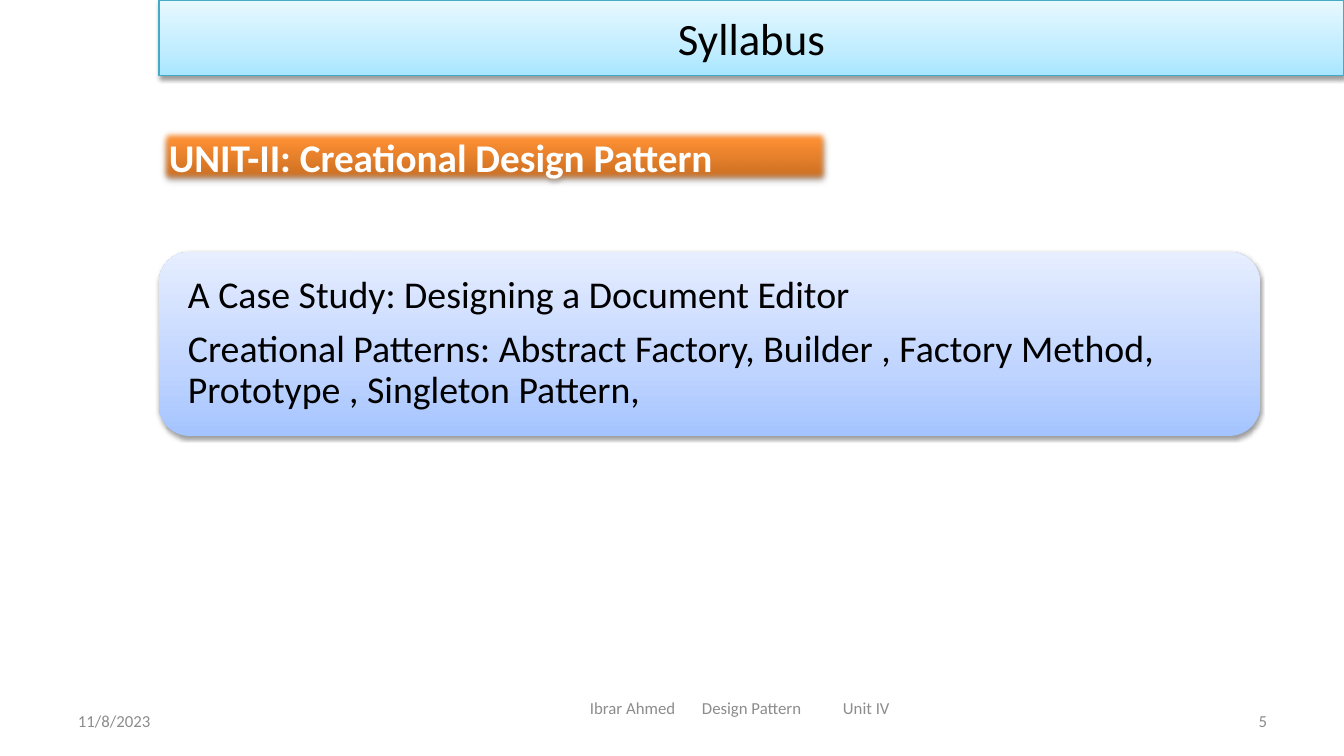
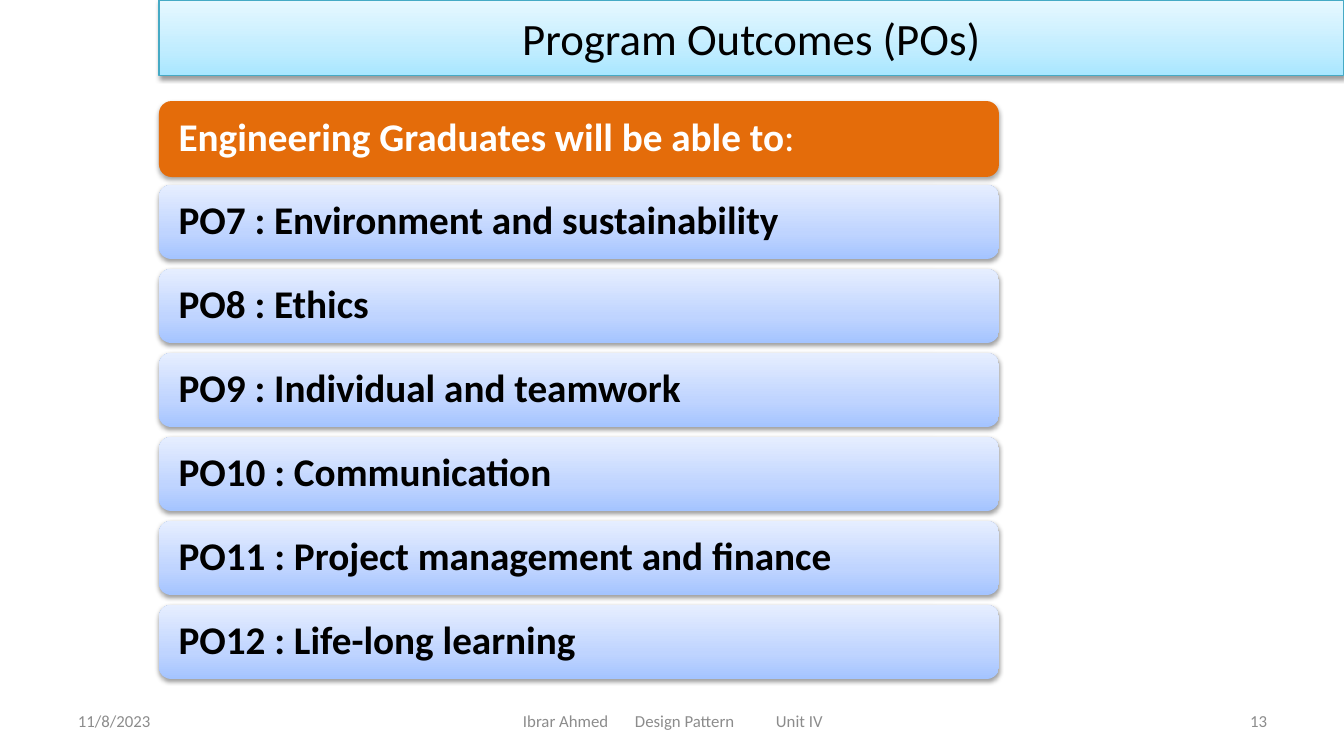
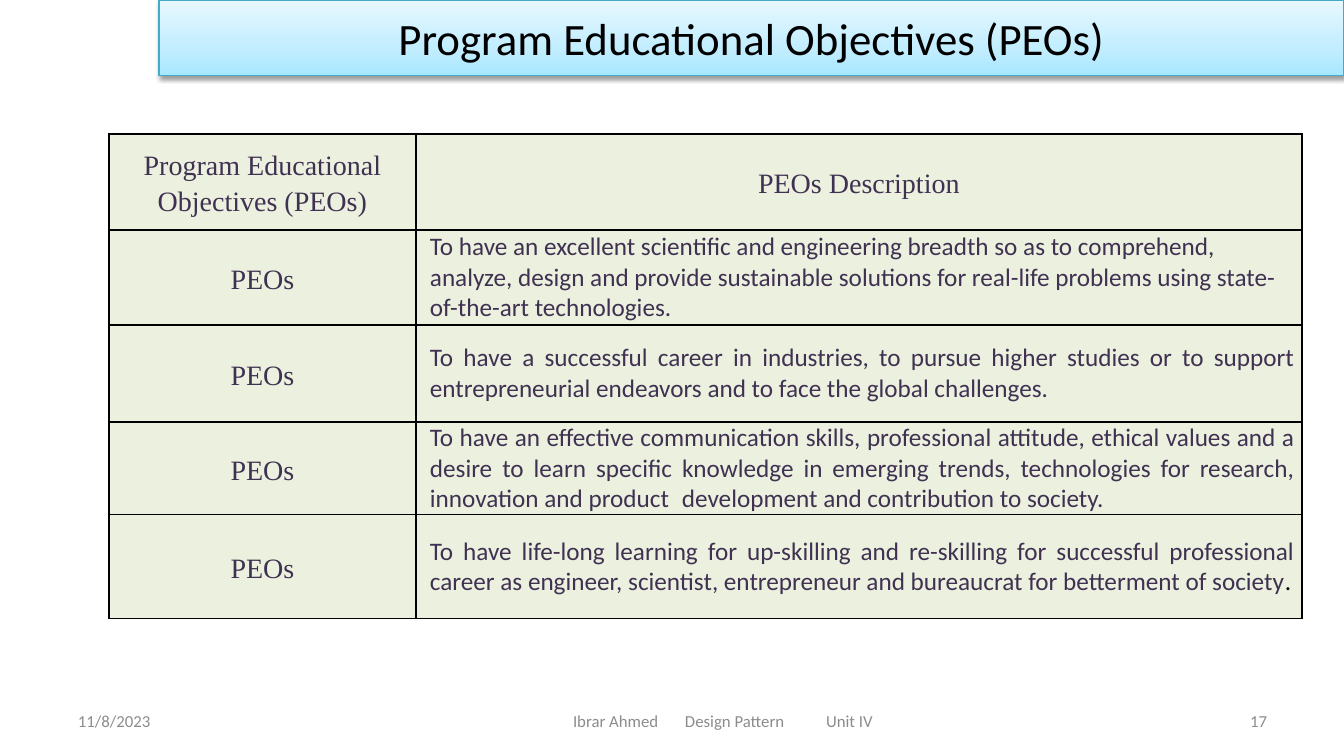
from lxml.etree import SubElement as Sub
from pptx import Presentation as Deck
from pptx.dml.color import RGBColor as Rgb
from pptx.enum.shapes import MSO_SHAPE as Kind
from pptx.enum.text import MSO_ANCHOR as Anchor, MSO_AUTO_SIZE as Auto, PP_ALIGN as Align
from pptx.oxml.ns import qn
from pptx.util import Pt

PX = 9071


class Theme:
    black, white, grey = "000000", "FFFFFF", "8C8C8C"
    edge, orange, plum, sage = "46AAC5", "E46C0A", "403152", "EBF1DE"
    sky = [(0, "A7E6FF"), (35, "C1EDFF"), (100, "E7F8FF")]
    blue = [(0, "A4C4FF"), (35, "BFD4FF"), (100, "E6EEFF")]
    amber = [(0, "C2691F"), (80, "FF9034"), (100, "FF9136")]
    sans, serif = "Calibri", "Times New Roman"
    title, head, body, label, cell, foot = 32, 28, 27, 20, 18, 12


def say(par, text, size, color, bold=False, face=Theme.sans):
    run = par.add_run()
    run.text = text
    run.font.name = face
    run.font.size = Pt(size)
    run.font.bold = bold
    run.font.color.rgb = Rgb.from_string(color)


def paint(shape, fill, alpha=38, drop=20000):
    if isinstance(fill, str):
        shape.fill.solid()
        shape.fill.fore_color.rgb = Rgb.from_string(fill)
    else:
        shape.fill.gradient()
        shape.fill.gradient_angle = 90
        stops = shape._element.spPr.find(qn("a:gradFill")).find(qn("a:gsLst"))
        stops.clear()
        for spot, color in fill:
            stop = Sub(stops, qn("a:gs"), pos=str(spot * 1000))
            Sub(stop, qn("a:srgbClr"), val=color)
    shape.line.fill.background()
    shape.shadow.inherit = False
    glow = shape._element.spPr.find(qn("a:effectLst"))
    shade = Sub(glow, qn("a:outerShdw"), blurRad="40000", dist=str(drop), dir="5400000", rotWithShape="0")
    tint = Sub(shade, qn("a:srgbClr"), val=Theme.black)
    Sub(tint, qn("a:alpha"), val=str(alpha * 1000))
    return glow


deck = Deck()
deck.slide_width, deck.slide_height = 1344 * PX, 756 * PX

pages = [
    ("Syllabus", "5", (479, 688, 521, 40)),
    ("Program Outcomes (POs)", "13", (460, 701, 425, 40)),
    ("Program Educational Objectives (PEOs)", "17", (446, 701, 554, 40)),
]
slides = []
for name, number, place in pages:
    slide = deck.slides.add_slide(deck.slide_layouts[5])
    slides.append(slide)
    title = slide.shapes.title
    title.left, title.top, title.width, title.height = 159 * PX, 0, 1185 * PX, 76 * PX
    paint(title, Theme.sky)
    title.line.color.rgb = Rgb.from_string(Theme.edge)
    title.line.width = Pt(0.75)
    frame = title.text_frame
    frame.auto_size = Auto.NONE
    frame.vertical_anchor = Anchor.MIDDLE
    par = frame.paragraphs[0]
    par.alignment = Align.CENTER
    say(par, name, Theme.title, Theme.black)

    feet = [
        ("11/8/2023", (68, 701, 313, 40), Align.LEFT),
        ("Ibrar Ahmed\tDesign Pattern\tUnit IV", place, Align.LEFT),
        (number, (964, 701, 313, 40), Align.RIGHT),
    ]
    for text, spot, align in feet:
        box = slide.shapes.add_textbox(*[n * PX for n in spot])
        frame = box.text_frame
        frame.word_wrap = True
        frame.vertical_anchor = Anchor.MIDDLE
        par = frame.paragraphs[0]
        par.alignment = align
        if "\t" in text:
            frame.margin_left = (spot[2] - 299) // 2 * PX
            tabs = Sub(par._p.get_or_add_pPr(), qn("a:tabLst"))
            for stop in (112, 253):
                Sub(tabs, qn("a:tab"), pos=str(stop * PX), algn="l")
        say(par, text, Theme.foot, Theme.grey)

syllabus, outcomes, aims = slides

unit = syllabus.shapes.add_shape(Kind.RECTANGLE, 159 * PX, 128 * PX, 672 * PX, 57 * PX)
glow = paint(unit, Theme.amber, 35, 23000)
Sub(glow, qn("a:softEdge"), rad="63500")
frame = unit.text_frame
frame.word_wrap = True
frame.vertical_anchor = Anchor.TOP
par = frame.paragraphs[0]
par.alignment = Align.JUSTIFY
say(par, "UNIT-II: Creational Design Pattern", Theme.head, Theme.white, True)

topics = [
    "A Case Study: Designing a Document Editor",
    "Creational Patterns: Abstract Factory, Builder , Factory Method, Prototype , Singleton Pattern,",
]
goals = [
    "Engineering Graduates will be able to",
    "PO7 : Environment and sustainability",
    "PO8 : Ethics",
    "PO9 : Individual and teamwork",
    "PO10 : Communication",
    "PO11 : Project management and finance",
    "PO12 : Life-long learning",
]
cards = [(syllabus, (159, 252, 1101, 184), 20, topics, Theme.body, False)]
for i, goal in enumerate(goals):
    cards.append((outcomes, (159, 101 + 84 * i, 840, 74 if i else 76), 16, [goal], Theme.head, True))

for slide, spot, pad, lines, size, bold in cards:
    card = slide.shapes.add_shape(Kind.ROUNDED_RECTANGLE, *[n * PX for n in spot])
    lead = lines[0] == goals[0]
    if lead:
        paint(card, Theme.orange, 35, 23000)
    else:
        paint(card, Theme.blue)
    frame = card.text_frame
    frame.word_wrap = True
    frame.vertical_anchor = Anchor.MIDDLE
    frame.margin_left = frame.margin_right = pad * PX
    for i, line in enumerate(lines):
        par = frame.add_paragraph() if i else frame.paragraphs[0]
        par.alignment = Align.LEFT
        par.line_spacing = 0.9
        if i:
            par.space_before = Pt(9.5)
        say(par, line, size, Theme.white if lead else Theme.black, bold)
        if lead:
            say(par, ":", size, Theme.white)

rows = [
    (96, "Program Educational Objectives (PEOs)", "PEOs Description"),
    (95, "PEOs", "To have an excellent scientific and engineering breadth so as to comprehend, analyze, design and provide sustainable solutions for real-life problems using state-of-the-art technologies."),
    (97, "PEOs", "To have a successful career in industries, to pursue higher studies or to support entrepreneurial endeavors and to face the global challenges."),
    (93, "PEOs", "To have an effective communication skills, professional attitude, ethical values and a desire to learn specific knowledge in emerging trends, technologies for research, innovation and product\tdevelopment and contribution to society."),
    (104, "PEOs", "To have life-long learning for up-skilling and re-skilling for successful professional career as engineer, scientist, entrepreneur and bureaucrat for betterment of society"),
]
high = sum(row[0] for row in rows)
table = aims.shapes.add_table(len(rows), 2, 109 * PX, 134 * PX, 1193 * PX, high * PX).table
table.columns[0].width = 307 * PX
table.columns[1].width = 886 * PX
for r, (tall, *texts) in enumerate(rows):
    table.rows[r].height = tall * PX
    for c, text in enumerate(texts):
        cell = table.cell(r, c)
        cell.vertical_anchor = Anchor.MIDDLE
        cell.margin_left = cell.margin_right = 7 * PX
        cell.margin_top = cell.margin_bottom = 0
        props = cell._tc.get_or_add_tcPr()
        for side in ("lnL", "lnR", "lnT", "lnB"):
            edge = Sub(props, qn("a:" + side), w="12700")
            Sub(Sub(edge, qn("a:solidFill")), qn("a:srgbClr"), val=Theme.black)
        cell.fill.solid()
        cell.fill.fore_color.rgb = Rgb.from_string(Theme.sage)
        par = cell.text_frame.paragraphs[0]
        if r == 0 or c == 0:
            par.alignment = Align.CENTER
            par.line_spacing = 1.15
            say(par, text, Theme.label, Theme.plum, face=Theme.serif)
            continue
        par.alignment = Align.LEFT if r == 1 else Align.JUSTIFY
        style = par._p.get_or_add_pPr()
        style.set("marL", str(7 * PX))
        style.set("indent", "0")
        if "\t" in text:
            Sub(Sub(style, qn("a:tabLst")), qn("a:tab"), pos=str(268 * PX), algn="l")
        say(par, text, Theme.cell, Theme.plum)
        if r == len(rows) - 1:
            say(par, ".", Theme.cell, Theme.black)

deck.save("out.pptx")
